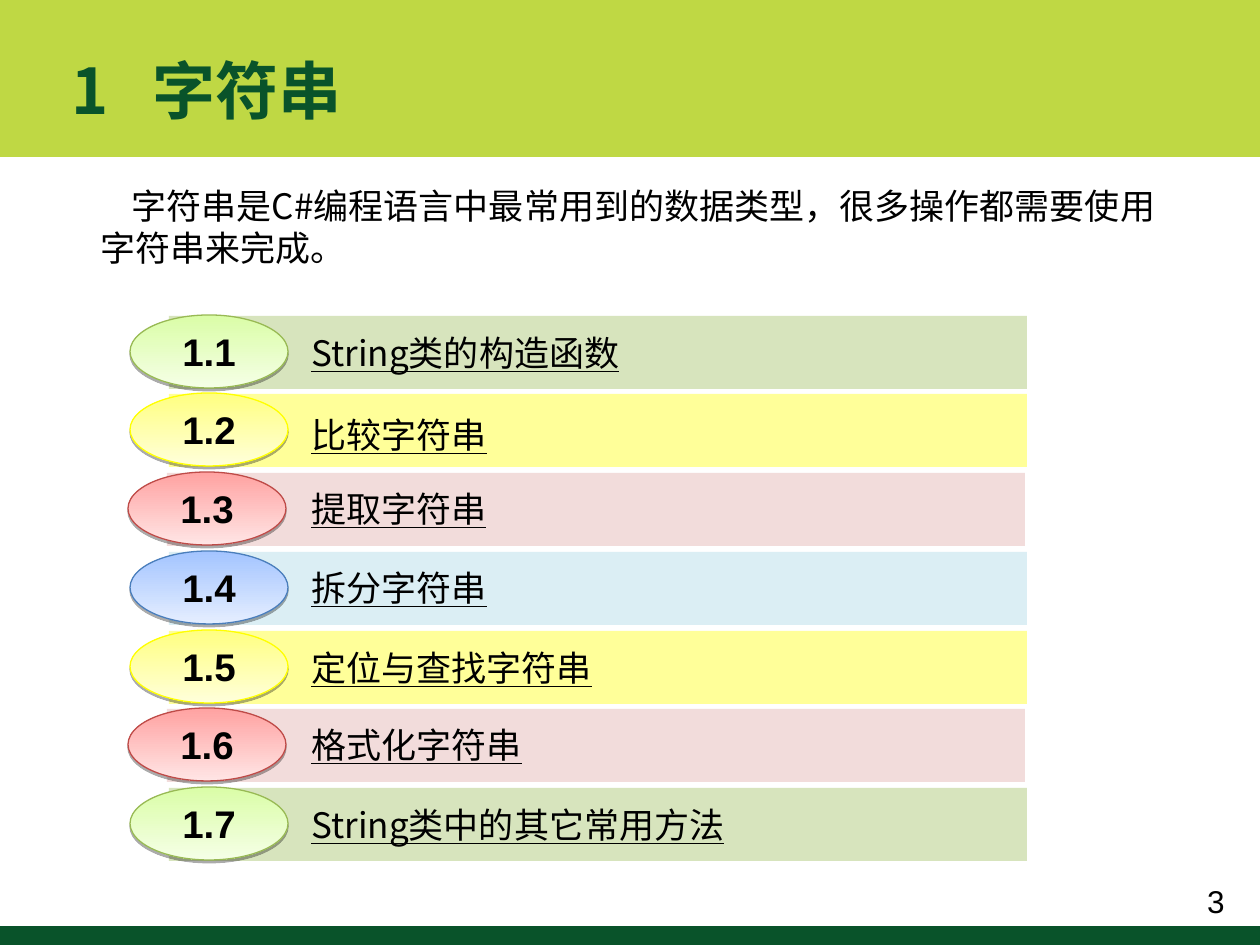
from lxml.etree import SubElement as Sub
from pptx import Presentation
from pptx.dml.color import RGBColor
from pptx.enum.shapes import MSO_SHAPE as Geo
from pptx.enum.text import MSO_ANCHOR as Anchor, MSO_AUTO_SIZE as Auto, PP_ALIGN as Align
from pptx.oxml.ns import qn
from pptx.util import Pt

PX = 914400 / 126
CJK = "Noto Sans CJK SC"


def box(*nums):
    return [round(n * PX) for n in nums]


def style(par, size, face, color="000000", align=Align.LEFT):
    par.alignment = align
    font = par.font
    font.size, font.name = Pt(size), face
    font.color.rgb = RGBColor.from_string(color)
    Sub(par._p.pPr.find(qn("a:defRPr")), qn("a:ea"), typeface=face)
    return font


prs = Presentation()
prs.slide_width, prs.slide_height = box(1260, 945)
slide = prs.slides.add_slide(prs.slide_layouts[1])
shapes = slide.shapes

# Header and footer bands, behind the placeholders
for top, high, color in ((0, 157, "BFD844"), (926, 19, "09532A")):
    band = shapes.add_shape(Geo.RECTANGLE, *box(0, top, 1260, high))
    band.shadow.inherit = False
    band.fill.solid()
    band.fill.fore_color.rgb = RGBColor.from_string(color)
    band.line.fill.background()
    shapes.element.insert(2, band.element)

# Title, with a tab after the number
title = shapes.title
title.left, title.top, title.width, title.height = box(59, 29, 857, 120)
frame = title.text_frame
frame.text = "1\t字符串"
frame.vertical_anchor = Anchor.MIDDLE
frame.auto_size = Auto.NONE
par = frame.paragraphs[0]
tabs = Sub(par._p.get_or_add_pPr(), qn("a:tabLst"))
Sub(tabs, qn("a:tab"), pos=str(box(81)[0]), algn="l")
style(par, 36, CJK, "09532A").bold = True

# Introduction, with an indented first line
body = slide.placeholders[1]
body.left, body.top, body.width, body.height = box(88, 178, 1113, 97)
frame = body.text_frame
frame.text = "字符串是C#编程语言中最常用到的数据类型，很多操作都需要使用字符串来完成。"
frame.auto_size = Auto.NONE
par = frame.paragraphs[0]
par.space_before = Pt(0)
props = par._p.get_or_add_pPr()
props.set("marL", "0")
props.set("indent", str(box(31)[0]))
Sub(props, qn("a:buNone"))
style(par, 20, CJK)

# Look of a row: left edge, bar, gradient from and to, outline
green = 130, "D7E4BD", "DAFDA7", "F5FFE6", "98B954"
gold = 130, "FFFF99", "FFFF80", "FFFFDA", "FFFF00"
pink = 128, "F2DCDB", "FFA2A1", "FFE5E5", "BE4B48"
blue = 130, "DBEEF4", "A3C4FF", "E5EEFF", "4A7EBB"

# Text, look, label drop below the row top, label width
rows = [
    ("String类的构造函数", green, 10, 434),
    ("比较字符串", gold, 14, 434),
    ("提取字符串", pink, 9, 391),
    ("拆分字符串", blue, 9, 434),
    ("定位与查找字符串", gold, 10, 434),
    ("格式化字符串", pink, 9, 350),
    ("String类中的其它常用方法", green, 10, 469),
]

# Contents list: bar and numbered oval in a group, then the label
for i, (text, look, drop, wide) in enumerate(rows):
    left, bar_hex, start, end, edge = look
    top = 315 + i * 315 // 4
    group = shapes.add_group_shape().shapes

    bar = group.add_shape(Geo.RECTANGLE, *box(left + 39, top + 1, 858, 73))
    bar.shadow.inherit = False
    bar.fill.solid()
    bar.fill.fore_color.rgb = RGBColor.from_string(bar_hex)
    bar.line.fill.background()

    oval = group.add_shape(Geo.OVAL, *box(left, top, 158, 73))
    oval.fill.gradient()
    oval.fill.gradient_angle = 270
    for stop, color in zip(oval.fill.gradient_stops, (start, end)):
        stop.color.rgb = RGBColor.from_string(color)
    oval.line.color.rgb = RGBColor.from_string(edge)
    oval.line.width = Pt(0.75)
    oval.shadow.inherit = False
    glow = oval.element.spPr.find(qn("a:effectLst"))
    shade = Sub(glow, qn("a:outerShdw"), blurRad="0", dist=str(Pt(1.6)),
                dir="5400000", rotWithShape="0")
    tint = Sub(shade, qn("a:srgbClr"), val="000000")
    Sub(tint, qn("a:alpha"), val="33000")
    oval.text_frame.text = f"1.{i + 1}"
    style(oval.text_frame.paragraphs[0], 22, "Arial", align=Align.CENTER).bold = True

    label = shapes.add_textbox(*box(299, top + drop, wide, 55)).text_frame
    label.word_wrap = True
    label.text = text
    style(label.paragraphs[0], 20, CJK).underline = True

# Page number
page = shapes.add_textbox(*box(1172, 876, 88, 50)).text_frame
page.word_wrap = True
page.text = "3"
style(page.paragraphs[0], 18, "Arial", align=Align.CENTER)

prs.save("out.pptx")
